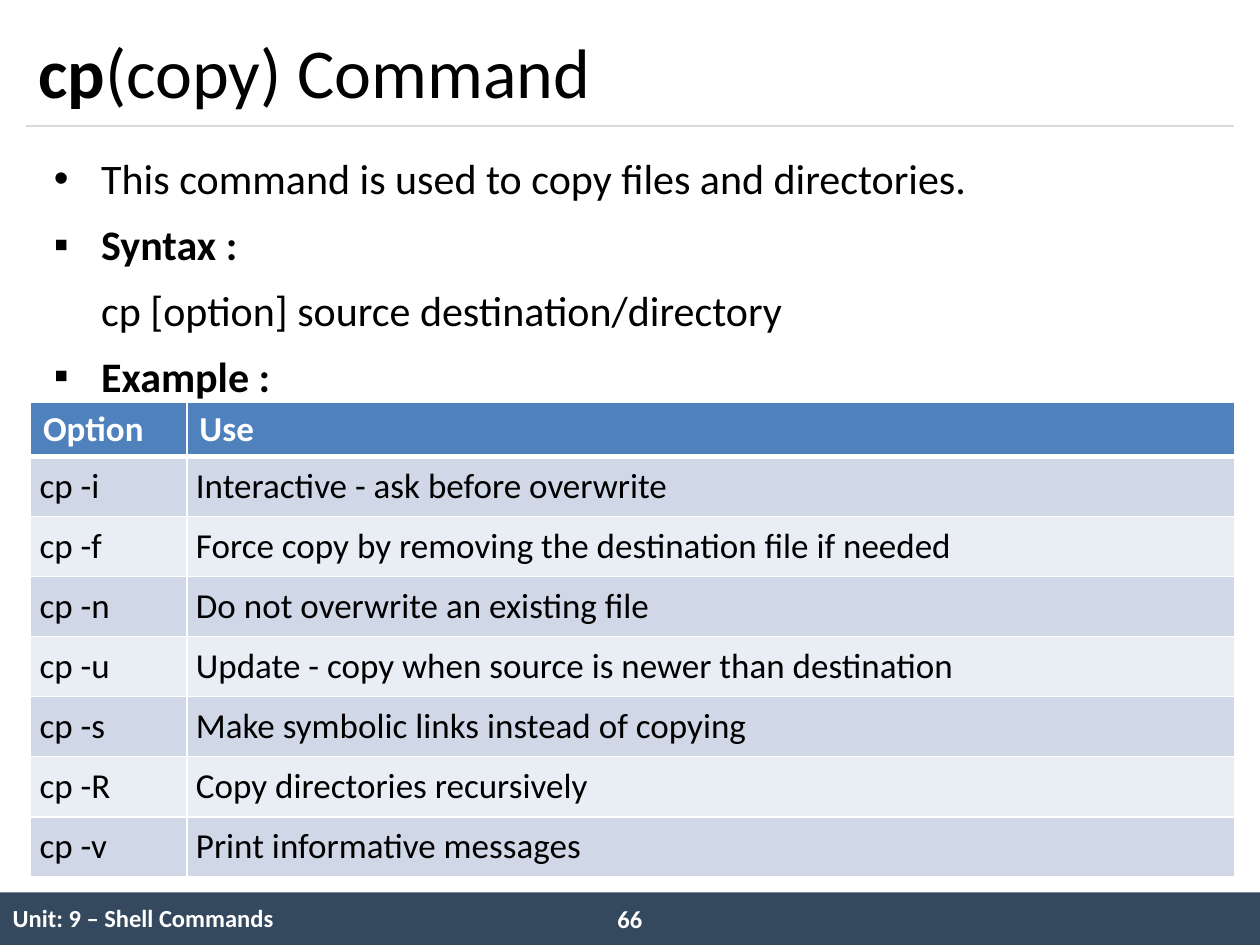
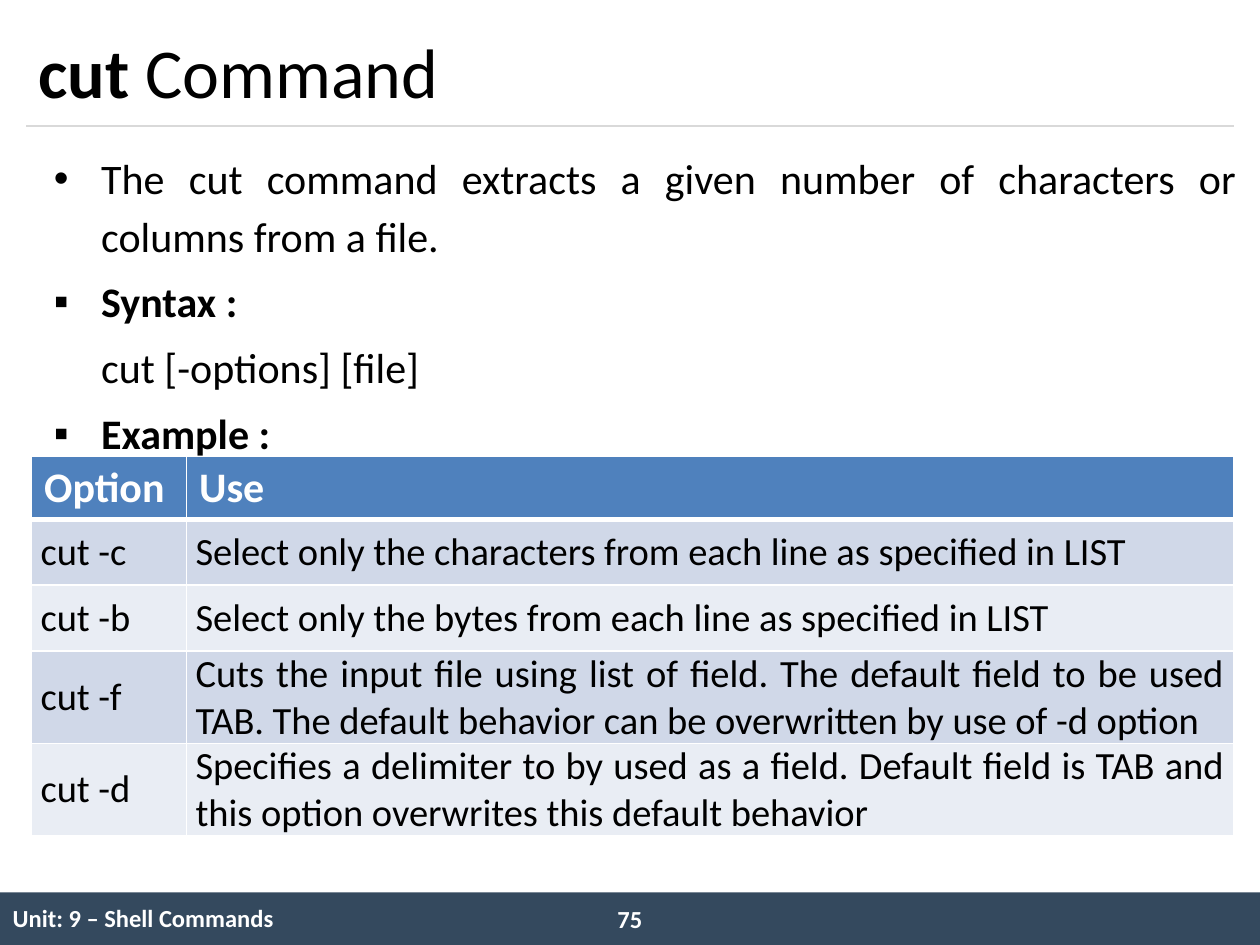
from dataclasses import dataclass

from lxml.etree import SubElement
from pptx import Presentation
from pptx.dml.color import RGBColor
from pptx.enum.shapes import MSO_CONNECTOR, MSO_SHAPE
from pptx.enum.text import MSO_ANCHOR, PP_ALIGN
from pptx.oxml.ns import qn
from pptx.util import Pt


@dataclass(frozen=True)
class Theme:
    """Colours, font and type sizes shared by the slides."""
    font: str = "Calibri"
    black: str = "000000"
    white: str = "FFFFFF"
    footer: str = "34495E"
    rule: str = "D9D9D9"
    header: str = "4F81BD"
    bands: tuple = ("D0D8E8", "E9EDF4")
    title_size: int = 40
    body_size: int = 24
    footer_size: int = 14


T = Theme()
WIDTH, HEIGHT = 720, 540
NO_GRID = "{2D5ABB26-0587-4C30-8999-92F81FD0307C}"
INDENT = 27
TITLE_BOX = (15, 8.64, 690, 63.36)
BODY_BOX = (23.76, 79.7, 690, 415)
FOOTER_BOX = (0, 510, WIDTH, 30)

COMMANDS = [
    dict(
        title=("cp", "(copy) Command"),
        page="66",
        purpose="This command is used to copy files and directories.",
        syntax="cp [option] source destination/directory",
        table_box=(17.4, 229.7, 688),
        col=89.4,
        row_heights=(30, 34.3),
        sizes=(20, 20),
        options=[
            ("cp -i", "Interactive - ask before overwrite"),
            ("cp -f", "Force copy by removing the destination file if needed"),
            ("cp -n", "Do not overwrite an existing file"),
            ("cp -u", "Update - copy when source is newer than destination"),
            ("cp -s", "Make symbolic links instead of copying"),
            ("cp -R", "Copy directories recursively"),
            ("cp -v", "Print informative messages"),
        ],
    ),
    dict(
        title=("cut ", "Command"),
        page="75",
        purpose="The cut command extracts a given number of characters or columns from a file.",
        syntax="cut [-options] [file]",
        table_box=(18, 260.8, 687),
        col=88.6,
        row_heights=(36, 37.6),
        sizes=(24, 22),
        options=[
            ("cut -c", "Select only the characters from each line as specified in LIST"),
            ("cut -b", "Select only the bytes from each line as specified in LIST"),
            ("cut -f", "Cuts the input file using list of field. The default field to be used TAB. "
                       "The default behavior can be overwritten by use of -d option"),
            ("cut -d", "Specifies a delimiter to by used as a field. Default field is TAB and "
                       "this option overwrites this default behavior"),
        ],
    ),
]


def rgb(color):
    """Turn a hex string into a colour."""
    return RGBColor.from_string(color)


def style(p, size, color=T.black, bold=False, align=PP_ALIGN.LEFT):
    """Format a paragraph and all its runs."""
    p.alignment = align
    for r in p.runs:
        f = r.font
        f.name, f.size, f.bold = T.font, Pt(size), bold
        f.color.rgb = rgb(color)


def add_text(s, box, anchor=MSO_ANCHOR.TOP):
    """Add a wrapping text box and return its text frame."""
    tf = s.shapes.add_textbox(*map(Pt, box)).text_frame
    tf.word_wrap = True
    tf.vertical_anchor = anchor
    return tf


def set_bullet(p, char):
    """Give a paragraph a hanging bullet, or only the indent."""
    pPr = p._p.get_or_add_pPr()
    pPr.set("marL", str(Pt(INDENT)))
    pPr.set("indent", str(-Pt(INDENT) if char else 0))
    if char:
        SubElement(pPr, qn("a:buFont"), typeface="Arial")
        SubElement(pPr, qn("a:buChar"), char=char)


def set_borders(cell, top, bottom):
    """Draw white borders round a cell."""
    tcPr = cell._tc.get_or_add_tcPr()
    for side, width in (("L", 1), ("R", 1), ("T", top), ("B", bottom)):
        ln = SubElement(tcPr, qn(f"a:ln{side}"), w=str(Pt(width)))
        SubElement(SubElement(ln, qn("a:solidFill")), qn("a:srgbClr"), val=T.white)


def add_title(s, box, command, rest):
    """Write the slide title with the rule below it."""
    x, y, w, h = box
    line = s.shapes.add_connector(MSO_CONNECTOR.STRAIGHT, Pt(x), Pt(y + h), Pt(x + w), Pt(y + h))
    line.line.color.rgb = rgb(T.rule)
    line.line.width = Pt(0.75)
    SubElement(line._element.spPr, qn("a:effectLst"))
    p = add_text(s, box, MSO_ANCHOR.MIDDLE).paragraphs[0]
    for text in (command, rest):
        p.add_run().text = text
    style(p, T.title_size)
    p.runs[0].font.bold = True


def add_body(s, box, purpose, syntax):
    """Write the purpose, syntax and example lines."""
    tf = add_text(s, box)
    lines = [("•", purpose, False), ("▪", "Syntax :", True),
             (None, syntax, False), ("▪", "Example :", True)]
    for i, (char, text, bold) in enumerate(lines):
        p = tf.add_paragraph() if i else tf.paragraphs[0]
        p.text = text
        p.line_spacing = 1.14
        p.space_before = Pt(4.8 if i else 0)
        set_bullet(p, char)
        style(p, T.body_size, bold=bold, align=PP_ALIGN.JUSTIFY)


def add_options(s, box, col, row_heights, sizes, options):
    """Build the option table with a header and banded rows."""
    x, y, w = box
    head_h, row_h = row_heights
    rows = [("Option", "Use"), *options]
    h = head_h + row_h * len(options)
    table = s.shapes.add_table(len(rows), 2, Pt(x), Pt(y), Pt(w), Pt(h)).table
    table.columns[0].width, table.columns[1].width = Pt(col), Pt(w - col)
    for i, row in enumerate(rows):
        head = i == 0
        table.rows[i].height = Pt(head_h if head else row_h)
        for j, text in enumerate(row):
            cell = table.cell(i, j)
            cell.text = text
            cell.vertical_anchor = MSO_ANCHOR.MIDDLE
            if not head:
                cell.margin_left = cell.margin_right = Pt(5.2)
                cell.margin_top = cell.margin_bottom = 0
            set_borders(cell, 3 if i == 1 else 1, 3 if head else 1)
            cell.fill.solid()
            cell.fill.fore_color.rgb = rgb(T.header if head else T.bands[(i - 1) % 2])
            style(cell.text_frame.paragraphs[0], sizes[0 if head else 1],
                  T.white if head else T.black, head,
                  PP_ALIGN.JUSTIFY if j else PP_ALIGN.LEFT)


def add_footer(s, box, page):
    """Draw the footer band with the unit name and page number."""
    x, y, w, h = box
    band = s.shapes.add_shape(MSO_SHAPE.RECTANGLE, *map(Pt, box))
    band.shadow.inherit = False
    band.fill.solid()
    band.fill.fore_color.rgb = rgb(T.footer)
    band.line.fill.background()
    table = s.shapes.add_table(1, 3, *map(Pt, box)).table
    table._tbl.tblPr.find(qn("a:tableStyleId")).text = NO_GRID
    table.first_row = table.horz_banding = False
    for column, width in zip(table.columns, (366, 48, 306)):
        column.width = Pt(width)
    cell = table.cell(0, 0)
    cell.text = "Unit: 9 – Shell Commands"
    cell.vertical_anchor = MSO_ANCHOR.MIDDLE
    style(cell.text_frame.paragraphs[0], T.footer_size, T.white, True)
    p = add_text(s, (x + w / 2 - 21, y + 2.8, 42, 24.2)).paragraphs[0]
    p.text = page
    style(p, T.footer_size, T.white, True, PP_ALIGN.CENTER)


def add_command_slide(prs, title, page, purpose, syntax, table_box, **table):
    """Build one command slide."""
    s = prs.slides.add_slide(prs.slide_layouts[6])
    add_footer(s, FOOTER_BOX, page)
    add_title(s, TITLE_BOX, *title)
    add_body(s, BODY_BOX, purpose, syntax)
    add_options(s, table_box, **table)


def main():
    """Build the deck and save it."""
    prs = Presentation()
    prs.slide_width, prs.slide_height = Pt(WIDTH), Pt(HEIGHT)
    for command in COMMANDS:
        add_command_slide(prs, **command)
    prs.save("out.pptx")


if __name__ == "__main__":
    main()
